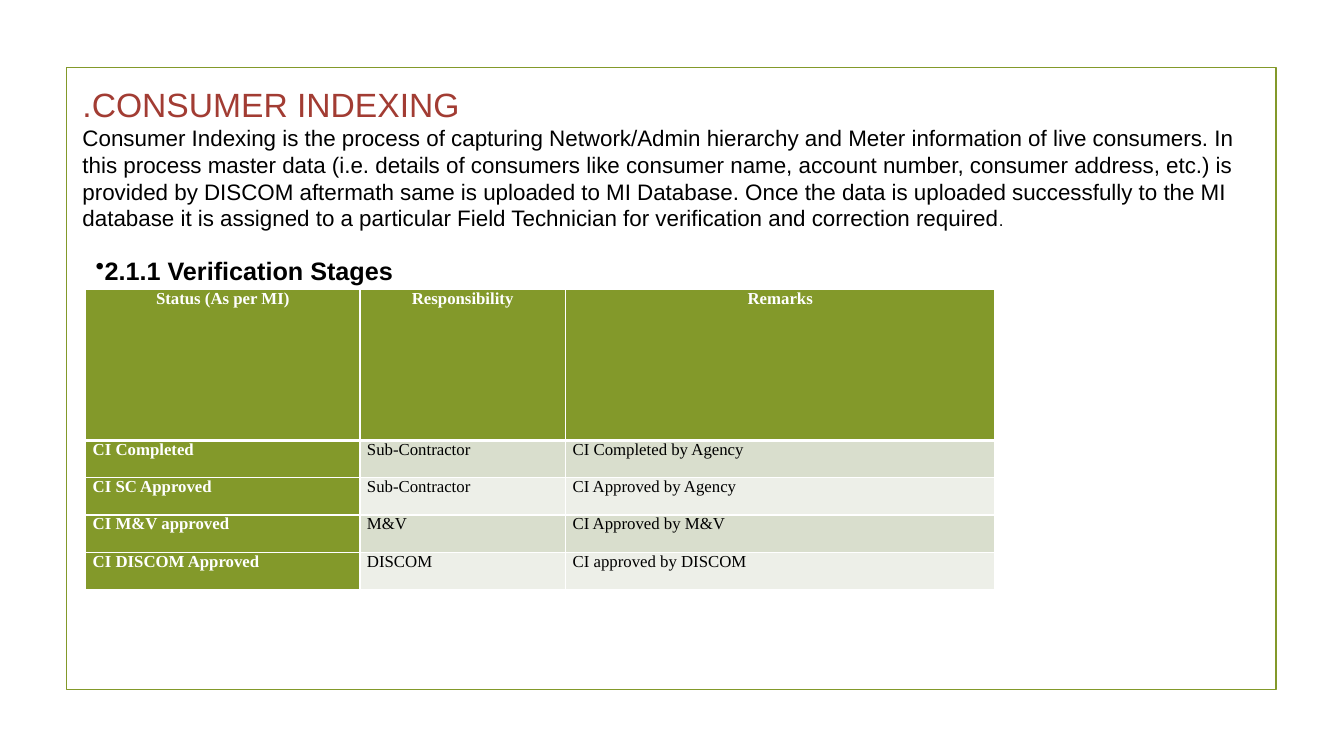
import pptx
import pptx.util
import pptx.dml.color
import pptx.enum.shapes
import pptx.enum.text
import pptx.oxml.ns
from lxml import etree

RGBColor = pptx.dml.color.RGBColor
OLIVE = RGBColor(0x83, 0x99, 0x2A)
RED = RGBColor(0xA2, 0x3C, 0x33)
BLACK = RGBColor(0, 0, 0)
WHITE = RGBColor(0xFF, 0xFF, 0xFF)
BANDS = [RGBColor(0xD9, 0xDE, 0xCD), RGBColor(0xED, 0xEF, 0xE8)]

TITLE = ".CONSUMER INDEXING"
INTRO = (
    "Consumer Indexing is the process of capturing Network/Admin hierarchy and Meter "
    "information of live consumers. In this process master data (i.e. details of consumers "
    "like consumer name, account number, consumer address, etc.) is provided by DISCOM "
    "aftermath same is uploaded to MI Database. Once the data is uploaded successfully to "
    "the MI database it is assigned to a particular Field Technician for verification and "
    "correction required"
)
STAGES = [
    ("Status (As per MI)", "Responsibility", "Remarks"),
    ("CI Completed", "Sub-Contractor", "CI Completed by Agency"),
    ("CI SC Approved", "Sub-Contractor", "CI Approved by Agency"),
    ("CI M&V approved", "M&V", "CI Approved by M&V"),
    ("CI DISCOM Approved", "DISCOM", "CI approved by DISCOM"),
]
COLUMNS = [272, 204, 426]
ROWS = [150] + [37] * 4


def px(n):
    """Turn px, 100 to the inch, into EMU."""
    return pptx.util.Emu(n * 9144)


def set_font(font, name, size, color, bold=False):
    """Set the face, size, colour and weight of a font."""
    font.name = name
    font.size = pptx.util.Pt(size)
    font.color.rgb = color
    font.bold = bold


def add_frame(s, x, y, w, h):
    """Draw the outline around the slide content."""
    sp = s.shapes.add_shape(pptx.enum.shapes.MSO_SHAPE.RECTANGLE, px(x), px(y), px(w), px(h))
    sp.shadow.inherit = False
    sp.fill.background()
    sp.line.color.rgb = OLIVE
    sp.line.width = pptx.util.Pt(1.25)


def add_text(s, x, y, w, h):
    """Add a wrapping text box and return its text frame."""
    tf = s.shapes.add_textbox(px(x), px(y), px(w), px(h)).text_frame
    tf.word_wrap = True
    return tf


def add_intro(s, x, y, w, h):
    """Write the title and the paragraph below it."""
    tf = add_text(s, x, y, w, h)
    tf.margin_top = px(9)
    p = tf.paragraphs[0]
    p.text = TITLE
    set_font(p.font, "Arial", 24, RED)
    p = tf.add_paragraph()
    for text, size in [(INTRO, 16), (".", 12)]:
        r = p.add_run()
        r.text = text
        set_font(r.font, "Arial", size, BLACK)


def add_heading(s, x, y, w, h):
    """Write the bulleted heading of the table."""
    p = add_text(s, x, y, w, h).paragraphs[0]
    p.text = "2.1.1 Verification Stages"
    bullet = etree.SubElement(p._p.get_or_add_pPr(), pptx.oxml.ns.qn("a:buChar"))
    bullet.set("char", "•")
    set_font(p.font, "Arial", 18, BLACK, True)


def add_borders(cell, top, bottom):
    """Give a cell white borders, with top and bottom widths in points."""
    qn = pptx.oxml.ns.qn
    tcPr = cell._tc.get_or_add_tcPr()
    for side, width in [("L", 1), ("R", 1), ("T", top), ("B", bottom)]:
        ln = etree.SubElement(tcPr, qn("a:ln" + side), w=str(pptx.util.Pt(width)))
        fill = etree.SubElement(ln, qn("a:solidFill"))
        etree.SubElement(fill, qn("a:srgbClr"), val=str(WHITE))


def add_stages(s, x, y):
    """Build the table of verification stages."""
    table = s.shapes.add_table(
        len(ROWS), len(COLUMNS), px(x), px(y), px(sum(COLUMNS)), px(sum(ROWS))
    ).table
    for column, width in zip(table.columns, COLUMNS):
        column.width = px(width)
    for i, (height, texts) in enumerate(zip(ROWS, STAGES)):
        table.rows[i].height = px(height)
        for j, text in enumerate(texts):
            cell = table.cell(i, j)
            header = i == 0 or j == 0
            add_borders(cell, 3 if i == 1 else 1, 3 if i == 0 else 1)
            cell.fill.solid()
            cell.fill.fore_color.rgb = OLIVE if header else BANDS[(i - 1) % 2]
            cell.margin_left = cell.margin_right = px(7)
            cell.margin_top = cell.margin_bottom = 0
            p = cell.text_frame.paragraphs[0]
            p.text = text
            if i == 0:
                p.alignment = pptx.enum.text.PP_ALIGN.CENTER
            set_font(p.font, "Times New Roman", 12, WHITE if header else BLACK, header)


def main():
    """Build the slide and save it."""
    prs = pptx.Presentation()
    prs.slide_width, prs.slide_height = px(1333), px(750)
    s = prs.slides.add_slide(prs.slide_layouts[6])
    add_frame(s, 66, 67, 1200, 617)
    add_stages(s, 85, 287)
    add_intro(s, 72, 74, 1193, 188)
    add_heading(s, 85, 248, 917, 40)
    prs.save("out.pptx")


if __name__ == "__main__":
    main()
